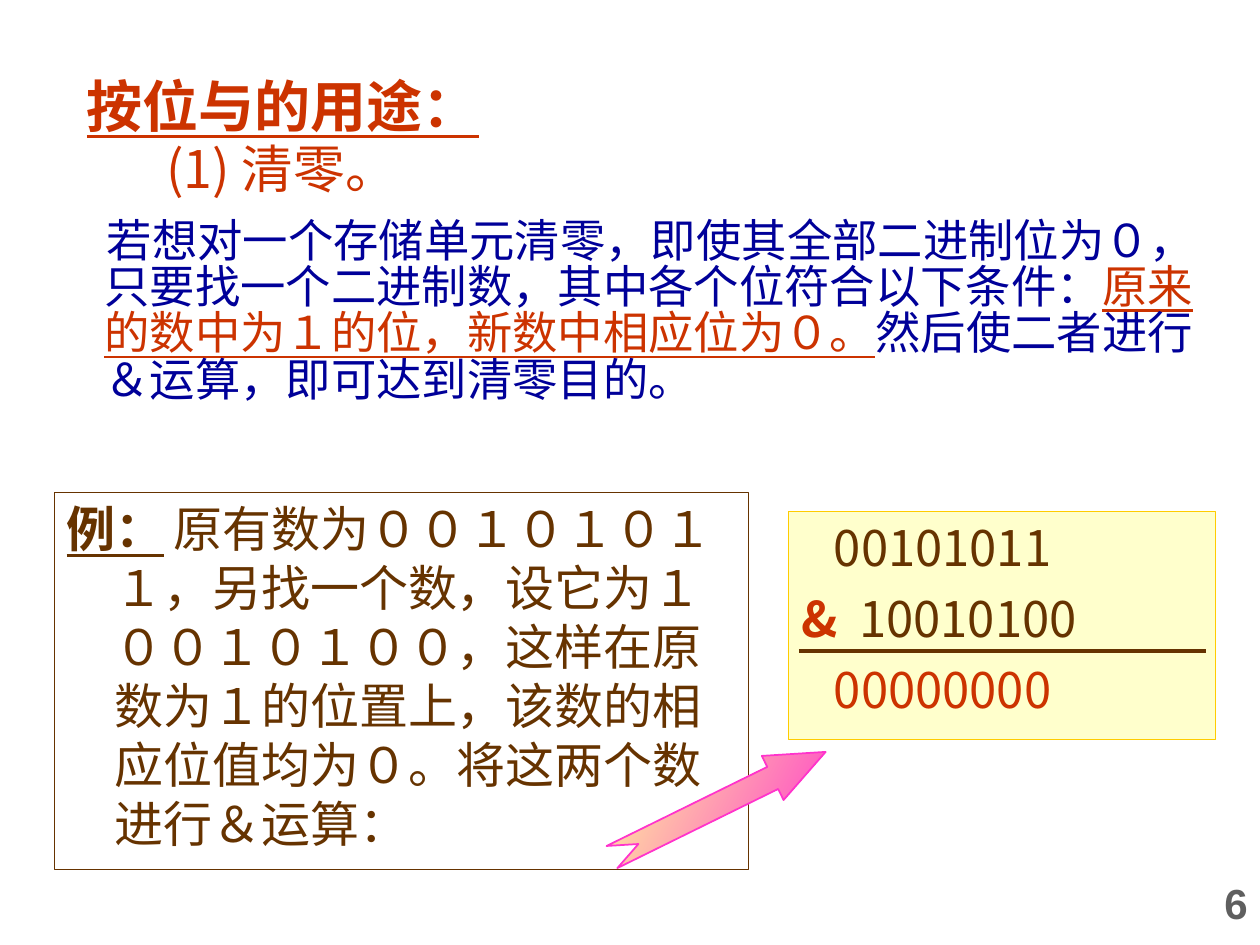
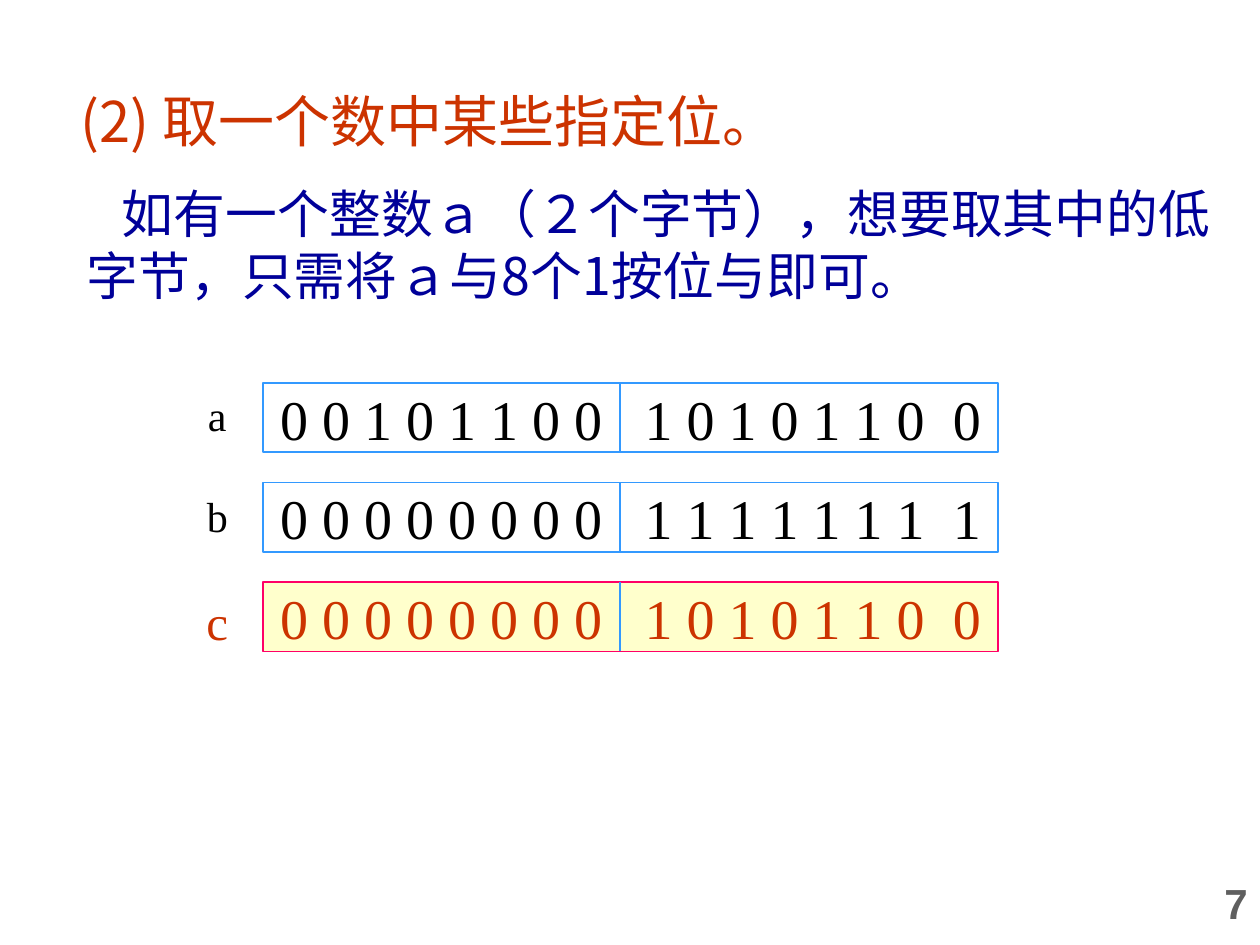
from lxml import etree
from pptx import Presentation
from pptx.dml.color import RGBColor
from pptx.enum.shapes import MSO_CONNECTOR, MSO_SHAPE
from pptx.enum.text import MSO_ANCHOR, PP_ALIGN
from pptx.oxml.ns import qn
from pptx.util import Inches, Pt

RECTANGLE = MSO_SHAPE.RECTANGLE
NOTCHED_ARROW = MSO_SHAPE.NOTCHED_RIGHT_ARROW
STRAIGHT = MSO_CONNECTOR.STRAIGHT
TOP, MIDDLE = MSO_ANCHOR.TOP, MSO_ANCHOR.MIDDLE
LEFT, CENTER, RIGHT = PP_ALIGN.LEFT, PP_ALIGN.CENTER, PP_ALIGN.RIGHT

COLORS = {
    "red": "CC3300", "navy": "000099", "brown": "663300", "black": "000000",
    "grey": "5F5F5F", "cream": "FFFFCC", "gold": "FFCC00", "blue": "3399FF",
    "crimson": "FF0066", "yellow": "FFFF99", "magenta": "FF33CC",
}
CJK, SERIF, SANS = "Noto Sans CJK SC", "Times New Roman", "Arial"


def rgb(name):
    return RGBColor.from_string(COLORS[name])


def run(text, **style):
    """A piece of text with its format: size, color, font, bold, underline, tracking."""
    return text, style


def write_paragraph(paragraph, runs, align=LEFT, margin=0, first=0,
                    before=0, spacing=None):
    paragraph.alignment = align
    paragraph.space_before = Pt(before)
    if spacing:
        paragraph.line_spacing = spacing
    properties = paragraph._p.get_or_add_pPr()
    properties.set("marL", str(Inches(margin)))
    properties.set("indent", str(Inches(first)))
    for text, style in runs:
        piece = paragraph.add_run()
        piece.text = text
        font = piece.font
        font.size = Pt(style["size"])
        font.color.rgb = rgb(style["color"])
        font.bold = style.get("bold", False)
        font.underline = style.get("underline", False)
        font.name = style.get("font", CJK)
        run_properties = piece._r.get_or_add_rPr()
        run_properties.set("spc", str(round(style.get("tracking", 0) * 100)))
        etree.SubElement(run_properties, qn("a:ea"), typeface=font.name)


class Deck:
    def __init__(self):
        self.presentation = Presentation()
        self.presentation.slide_width = Inches(10)
        self.presentation.slide_height = Inches(7.5)
        self.slide = None

    def new_slide(self, number):
        self.slide = self.presentation.slides.add_slide(
            self.presentation.slide_layouts[6])
        self.text((4.35, 6.83, 5.65, 0.67),
                  [run(str(number), size=24, color="grey", font=SANS, bold=True)],
                  anchor=MIDDLE, align=RIGHT)

    def fill_frame(self, shape, paragraphs, anchor=TOP):
        """Each paragraph is a pair of runs and paragraph format."""
        frame = shape.text_frame
        frame.word_wrap = True
        frame.vertical_anchor = anchor
        for index, (runs, layout) in enumerate(paragraphs):
            paragraph = frame.add_paragraph() if index else frame.paragraphs[0]
            write_paragraph(paragraph, runs, **layout)

    def text(self, area, runs, anchor=TOP, **layout):
        self.text_block(area, [(runs, layout)], anchor=anchor)

    def text_block(self, area, paragraphs, anchor=TOP):
        box = self.slide.shapes.add_textbox(*map(Inches, area))
        self.fill_frame(box, paragraphs, anchor)

    def shape(self, preset, area, line, width, fill=None):
        shape = self.slide.shapes.add_shape(preset, *map(Inches, area))
        shape.shadow.inherit = False
        shape.line.color.rgb = rgb(line)
        shape.line.width = Pt(width)
        if fill:
            shape.fill.solid()
            shape.fill.fore_color.rgb = rgb(fill)
        else:
            shape.fill.background()
        return shape

    def panel(self, area, paragraphs, line, width, fill=None, anchor=TOP):
        self.fill_frame(self.shape(RECTANGLE, area, line, width, fill),
                        paragraphs, anchor)

    def gradient_arrow(self, area, rotation, adjustments, colors, angle):
        arrow = self.shape(NOTCHED_ARROW, area, colors[-1], 1)
        arrow.rotation = rotation
        for index, value in enumerate(adjustments):
            arrow.adjustments[index] = value
        arrow.fill.gradient()
        arrow.fill.gradient_angle = angle
        for stop, color in zip(arrow.fill.gradient_stops, colors):
            stop.color.rgb = rgb(color)

    def line(self, start, end, color, width):
        connector = self.slide.shapes.add_connector(
            STRAIGHT, *map(Inches, (*start, *end)))
        connector.line.color.rgb = rgb(color)
        connector.line.width = Pt(width)
        etree.SubElement(connector._element.spPr, qn("a:effectLst"))


def build_clearing(deck):
    deck.new_slide(6)

    # Heading and explanation
    deck.text((0.59, 0.52, 3.78, 0.81),
              [run("按位与的用途：", size=32, color="red", bold=True, underline=True)])
    deck.text((1.22, 1.11, 2.72, 0.71),
              [run("(1) 清零。", size=29.6, color="red")], spacing=0.85)
    body = {"size": 25.9, "color": "navy"}
    deck.text((0.35, 1.7, 9.45, 1.89), [
        run("若想对一个存储单元清零，即使其全部二进制位为０，"
            "只要找一个二进制数，其中各个位符合以下条件：", **body),
        run("原来的数中为１的位，新数中相应位为０。",
            size=25.9, color="red", underline=True),
        run("然后使二者进行＆运算，即可达到清零目的。", **body),
    ], margin=0.38, first=0.02, spacing=0.85)

    # Example
    deck.panel((0.43, 3.91, 5.51, 2.99), [([
        run("例：", size=28, color="brown", bold=True, underline=True),
        run(" ", size=24, color="red"),
        run("原有数为００１０１０１１，另找一个数，设它为１００１０１００，"
            "这样在原数为１的位置上，该数的相应位值均为０。"
            "将这两个数进行＆运算：", size=28, color="brown"),
    ], {"margin": 0.38, "first": -0.38, "before": 7})], "brown", 0.75)
    deck.gradient_arrow((4.76, 6.19, 1.89, 0.39), 333.8, (0.5, 1.2),
                        ("yellow", "magenta"), 308)

    # Calculation
    operand = {"size": 28, "color": "brown"}
    indented = {"margin": 0.26, "before": 7}
    deck.panel((6.26, 4.06, 3.39, 1.81), [
        ([run("00101011", **operand)], indented),
        ([run("&", size=28, color="red", bold=True),
          run(" ", tracking=6.3, **operand), run("10010100", **operand)],
         {"before": 7}),
        ([run("00000000", size=28, color="red")], indented),
    ], "gold", 0.75, "cream")
    deck.line((6.34, 5.17), (9.57, 5.17), "brown", 2.25)


def build_selecting(deck):
    deck.new_slide(7)

    # Heading and explanation
    deck.text((0.43, 0.68, 8.82, 0.71),
              [run("(2) 取一个数中某些指定位。", size=32, color="red")],
              margin=0.11, spacing=0.95)
    deck.text((0.59, 1.39, 9.14, 1.57),
              [run("如有一个整数ａ（２个字节），想要取其中的低字节，"
                   "只需将ａ与8个1按位与即可。", size=29.6, color="navy")],
              first=0.28, spacing=1.0)

    # Two-byte words: name, high byte, low byte, text, border, fill, label size
    words = [
        ("a", "00101100", "10101100", "black", "blue", None, 24),
        ("b", "00000000", "11111111", "black", "blue", None, 24),
        ("c", "00000000", "10101100", "red", "crimson", "cream", 28),
    ]
    left, top, width, height, pitch, byte_border = 2.09, 3.04, 5.83, 0.55, 0.79, 4.92
    labels = []
    for row, (name, high, low, color, border, fill, label_size) in enumerate(words):
        y = top + row * pitch
        digit = {"size": 32, "color": color, "font": SERIF}
        bits = [run(" ".join(high), **digit), run(" ", tracking=16, **digit),
                run(" ".join(low[:-1]), **digit), run(" ", tracking=8, **digit),
                run(low[-1], **digit)]
        deck.panel((left, y, width, height), [(bits, {"align": CENTER})],
                   border, 1, fill, MIDDLE)
        deck.line((byte_border, y), (byte_border, y + height), "blue", 1)
        labels.append(([run(name, size=label_size, color=color, font=SERIF)],
                       {"align": CENTER, "before": 29 if row else 0}))
    deck.text_block((1.54, top, 0.37, 2.17), labels)


def main():
    deck = Deck()
    build_clearing(deck)
    build_selecting(deck)
    deck.presentation.save("out.pptx")


if __name__ == "__main__":
    main()
